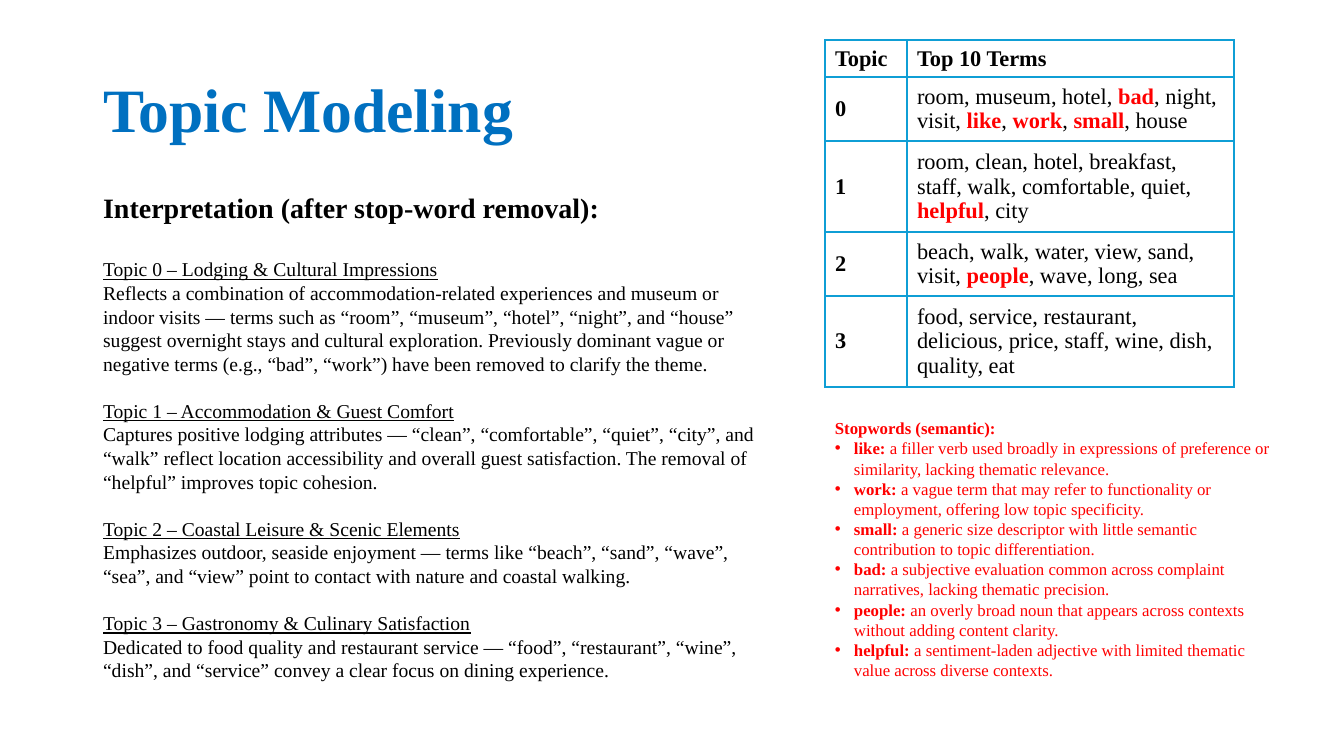
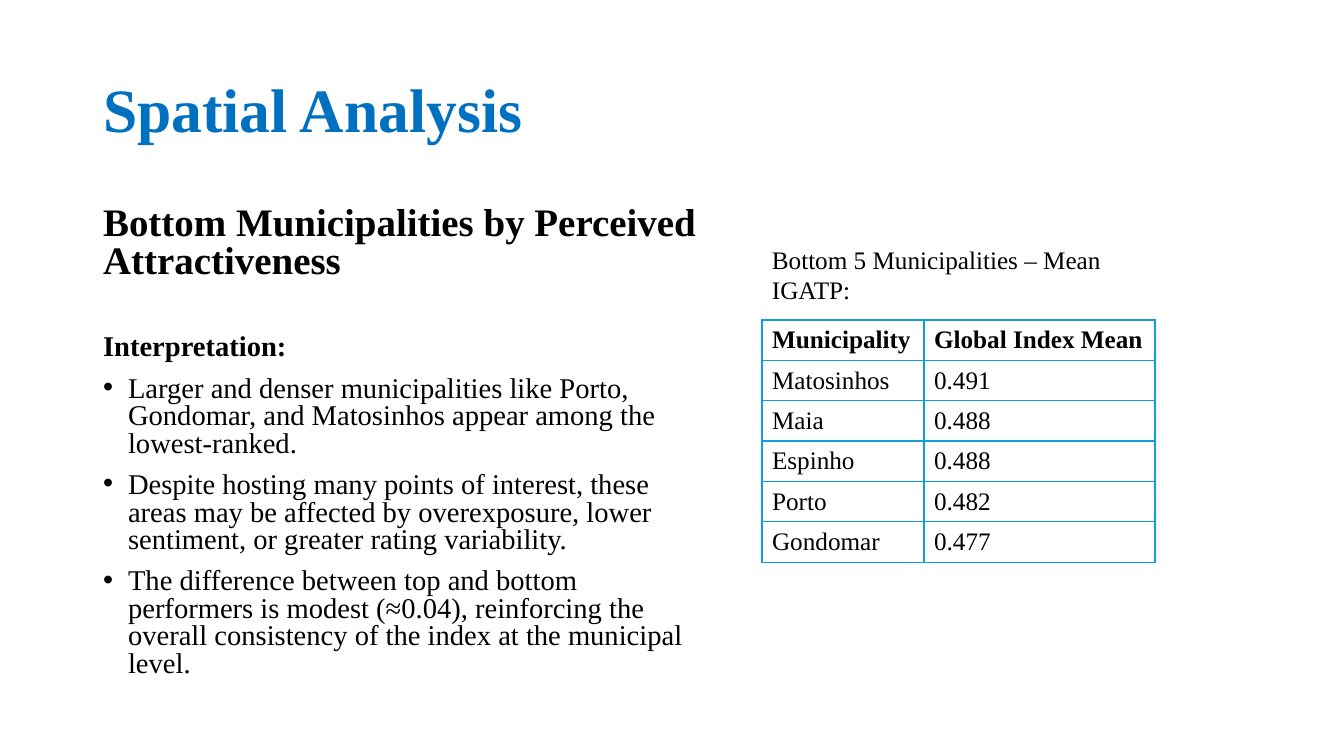
from lxml.etree import SubElement, fromstring
from pptx import Presentation
from pptx.dml.color import RGBColor
from pptx.enum.text import MSO_ANCHOR as Anchor, MSO_AUTO_SIZE as AutoSize, PP_ALIGN as Align
from pptx.oxml.ns import nsdecls, qn
from pptx.util import Emu, Pt

SCALE = 914400 / 100.8
FONT = "Times New Roman"
BLACK, BLUE, RED, BORDER = "000000", "0070C0", "FF0000", "0F9ED5"


def px(length):
    return Emu(round(length * SCALE))


def color(code):
    return RGBColor.from_string(code)


class Deck:
    def __init__(self):
        self.deck = Presentation()
        self.deck.slide_width, self.deck.slide_height = px(1344), px(756)

    def place(self, shape, left, top, width, height):
        shape.left, shape.top = px(left), px(top)
        shape.width, shape.height = px(width), px(height)

    def start(self, title):
        self.page = self.deck.slides.add_slide(self.deck.slide_layouts[1])
        box = self.page.shapes.title
        self.place(box, 93, 40, 1159, 146)
        frame = box.text_frame
        frame.auto_size, frame.vertical_anchor = AutoSize.NONE, Anchor.MIDDLE
        self.style_text(frame.paragraphs[0], title, 44, BLUE, bold=True, spacing=0.9)

    def style_text(self, para, text, size, ink=BLACK, marked=None, bold=False,
                   underline=False, bullet=0, before=0, spacing=1.0):
        properties = para._p.get_or_add_pPr()
        properties.set("marL", str(px(bullet)))
        properties.set("indent", str(-px(bullet)))
        if bullet:
            SubElement(properties, qn("a:buFont"), typeface="Arial")
            SubElement(properties, qn("a:buChar"), char="•")
        else:
            SubElement(properties, qn("a:buNone"))
        para.alignment = Align.LEFT
        para.line_spacing, para.space_before, para.space_after = spacing, Pt(before), Pt(0)
        for index, piece in enumerate(text.split("*")):
            if not piece:
                continue
            strong = index % 2 == 1
            span = para.add_run()
            span.text = piece
            font = span.font
            font.name, font.size = FONT, Pt(size)
            font.bold, font.underline = bold or strong, underline
            font.color.rgb = color(marked if strong and marked else ink)

    def lines(self, frame, entries, **shared):
        for index, (text, style) in enumerate(entries):
            para = frame.add_paragraph() if index else frame.paragraphs[0]
            self.style_text(para, text, **{**shared, **style})

    def body(self, area, entries, anchor, fit, **shared):
        box = self.page.placeholders[1]
        self.place(box, *area)
        frame = box.text_frame
        frame.auto_size, frame.vertical_anchor = fit, anchor
        self.lines(frame, entries, **shared)

    def note(self, area, entries, **shared):
        frame = self.page.shapes.add_textbox(*map(px, area)).text_frame
        frame.word_wrap, frame.auto_size = True, AutoSize.SHAPE_TO_FIT_TEXT
        self.lines(frame, entries, **shared)

    def table(self, area, rows, widths, size, heights=(), bold_key=False):
        grid = self.page.shapes.add_table(len(rows), len(widths), *map(px, area)).table
        grid.horz_banding = False
        for column, width in zip(grid.columns, widths):
            column.width = px(width)
        for row, height in zip(grid.rows, heights):
            row.height = px(height)
        for y, texts in enumerate(rows):
            for x, text in enumerate(texts):
                cell = grid.cell(y, x)
                cell.vertical_anchor = Anchor.MIDDLE
                cell.fill.background()
                self.outline(cell)
                self.style_text(cell.text_frame.paragraphs[0], text, size, marked=RED,
                                bold=y == 0 or (bold_key and x == 0))

    def outline(self, cell):
        properties = cell._tc.get_or_add_tcPr()
        for index, side in enumerate("LRTB"):
            properties.insert(index, fromstring(
                f'<a:ln{side} {nsdecls("a")} w="12700"><a:solidFill>'
                f'<a:srgbClr val="{BORDER}"/></a:solidFill></a:ln{side}>'))


TOPICS = [
    ("Topic 0 – Lodging & Cultural Impressions",
     "Reflects a combination of accommodation-related experiences and museum or indoor visits — "
     "terms such as “room”, “museum”, “hotel”, “night”, and “house” suggest overnight stays and "
     "cultural exploration. Previously dominant vague or negative terms (e.g., “bad”, “work”) "
     "have been removed to clarify the theme."),
    ("Topic 1 – Accommodation & Guest Comfort",
     "Captures positive lodging attributes — “clean”, “comfortable”, “quiet”, “city”, and “walk” "
     "reflect location accessibility and overall guest satisfaction. The removal of “helpful” "
     "improves topic cohesion."),
    ("Topic 2 – Coastal Leisure & Scenic Elements",
     "Emphasizes outdoor, seaside enjoyment — terms like “beach”, “sand”, “wave”, “sea”, and "
     "“view” point to contact with nature and coastal walking."),
    ("Topic 3 – Gastronomy & Culinary Satisfaction",
     "Dedicated to food quality and restaurant service — “food”, “restaurant”, “wine”, “dish”, "
     "and “service” convey a clear focus on dining experience."),
]
TERMS = [
    ("Topic", "Top 10 Terms"),
    ("0", "room, museum, hotel, *bad*, night, visit, *like*, *work*, *small*, house"),
    ("1", "room, clean, hotel, breakfast, staff, walk, comfortable, quiet, *helpful*, city"),
    ("2", "beach, walk, water, view, sand, visit, *people*, wave, long, sea"),
    ("3", "food, service, restaurant, delicious, price, staff, wine, dish, quality, eat"),
]
STOPWORDS = [
    "*like: *a filler verb used broadly in expressions of preference or similarity, lacking "
    "thematic relevance.",
    "*work: *a vague term that may refer to functionality or employment, offering low topic "
    "specificity.",
    "*small: *a generic size descriptor with little semantic contribution to topic "
    "differentiation.",
    "*bad: *a subjective evaluation common across complaint narratives, lacking thematic "
    "precision.",
    "*people: *an overly broad noun that appears across contexts without adding content clarity.",
    "*helpful: *a sentiment-laden adjective with limited thematic value across diverse contexts.",
]
FINDINGS = [
    "Larger and denser municipalities like Porto, Gondomar, and Matosinhos appear among the "
    "lowest-ranked.",
    "Despite hosting many points of interest, these areas may be affected by overexposure, "
    "lower sentiment, or greater rating variability.",
    "The difference between top and bottom performers is modest (≈0.04), reinforcing the "
    "overall consistency of the index at the municipal level.",
]
MUNICIPALITIES = [
    ("Municipality", "Global Index Mean"),
    ("Matosinhos", "0.491"),
    ("Maia", "0.488"),
    ("Espinho", "0.488"),
    ("Porto", "0.482"),
    ("Gondomar", "0.477"),
]


def topic_modeling(deck):
    deck.start("Topic Modeling")
    entries = [("Interpretation (after stop-word removal):", {"size": 20, "bold": True})]
    for index, (heading, meaning) in enumerate(TOPICS):
        entries.append((heading, {"underline": True, "before": 17 if index else 24}))
        entries.append((meaning, {}))
    deck.body((93, 183, 686, 506), entries, Anchor.MIDDLE, AutoSize.SHAPE_TO_FIT_TEXT, size=14)
    deck.note((825, 413, 465, 275),
              [("Stopwords (semantic):", {"bold": True})]
              + [(text, {"bullet": 19}) for text in STOPWORDS], size=12, ink=RED)
    deck.table((825, 40, 409, 347), TERMS, (82, 327), 16, (37, 64, 91, 64, 91), bold_key=True)


def spatial_analysis(deck):
    deck.start("Spatial Analysis")
    entries = [
        ("Bottom Municipalities by Perceived Attractiveness",
         {"size": 27.8, "bold": True, "before": 0}),
        ("Interpretation:", {"bold": True, "before": 38}),
    ]
    entries += [(text, {"bullet": 25}) for text in FINDINGS]
    deck.body((93, 202, 621, 481), entries, Anchor.TOP, AutoSize.NONE,
              size=20.4, before=10, spacing=0.8)
    deck.note((762, 239, 393, 72), [("Bottom 5 Municipalities – Mean IGATP:", {})], size=18)
    deck.table((762, 320, 393, 242), MUNICIPALITIES, (162, 231), 18)


def main():
    deck = Deck()
    topic_modeling(deck)
    spatial_analysis(deck)
    deck.deck.save("out.pptx")


if __name__ == "__main__":
    main()
